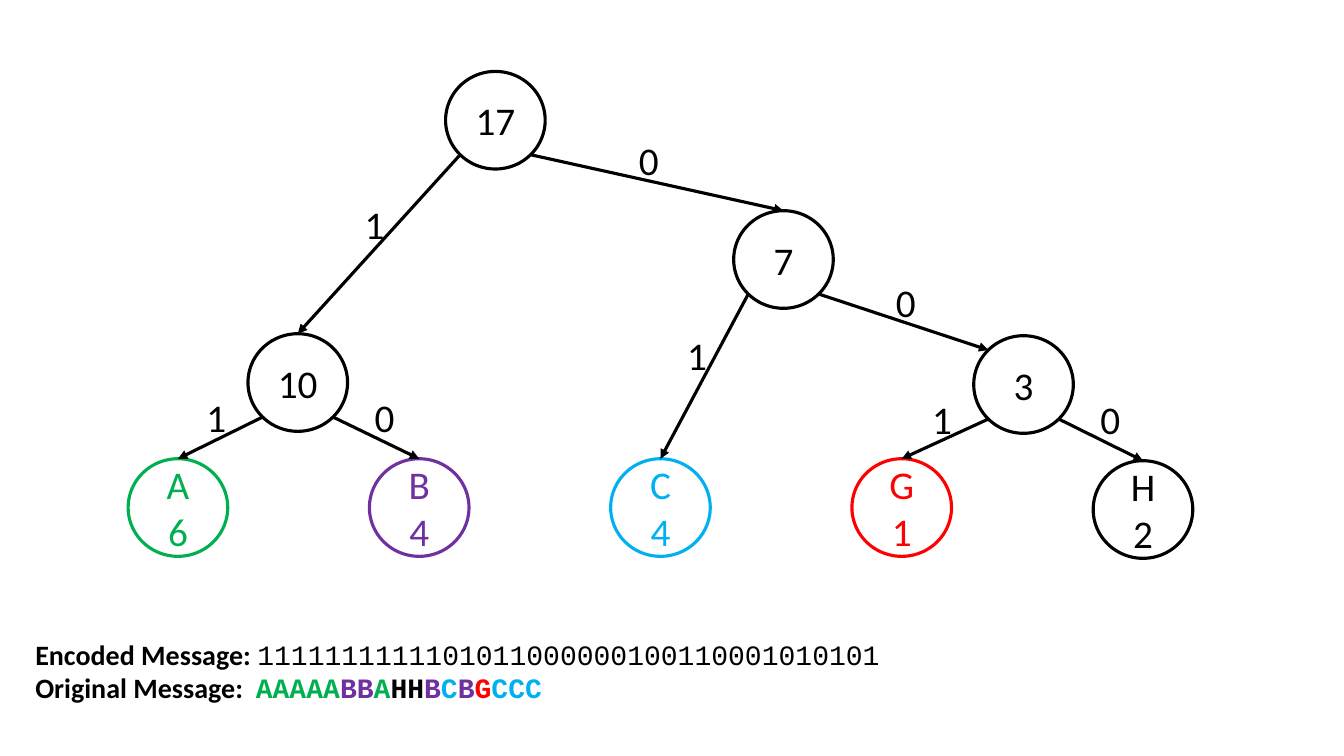
from math import sqrt

from lxml import etree
from pptx import Presentation
from pptx.dml.color import RGBColor
from pptx.enum import shapes, text
from pptx.oxml.ns import qn
from pptx.util import Cm, Pt

COLORS = {"black": "000000", "green": "00B050", "purple": "7030A0",
          "blue": "00B0F0", "red": "FF0000"}
LETTER_COLORS = {"A": "green", "B": "purple", "C": "blue", "G": "red", "H": "black"}
NODE_W, NODE_H = 2.51, 2.46
LABEL_W, LABEL_H = 0.89, 1.45
DIAGONAL = (1 - 1 / sqrt(2)) / 2  # inset of an ellipse's diagonal points
LEAF_STEP = 6.08

# Name: (left, top, lines of text), in cm from the corner of the tree
NODES = {
    "root": (8, 0, ["17"]),
    "AB": (3.02, 6.61, ["10"]),
    "CGH": (15.26, 3.51, ["7"]),
    "GH": (21.31, 6.66, ["3"]),
}
for i, (letter, count, top) in enumerate([("A", 6, 9.76), ("B", 4, 9.76), ("C", 4, 9.76),
                                          ("G", 1, 9.76), ("H", 2, 9.81)]):
    NODES[letter] = (i * LEAF_STEP, top, [letter, str(count)])

# Parent, child, bit, label offset from the parent's corner
EDGES = [
    ("root", "AB", "1", (-2.29, 3.13)),
    ("root", "CGH", "0", (4.62, 1.5)),
    ("CGH", "C", "1", (-1.42, 2.92)),
    ("CGH", "GH", "0", (3.84, 1.57)),
    ("AB", "A", "1", (-1.3, 1.37)),
    ("AB", "B", "0", (2.94, 1.37)),
    ("GH", "G", "1", (-1.3, 1.37)),
    ("GH", "H", "0", (2.94, 1.37)),
]


def rgb(color):
    return RGBColor.from_string(COLORS[color])


def add_run(p, words, color="black", **formats):
    r = p.add_run()
    r.text = words
    for name, value in {"name": "Calibri", "size": Pt(28), **formats}.items():
        setattr(r.font, name, value)
    r.font.color.rgb = rgb(color)


def add_text_box(slide, left, top, width, height):
    sp = slide.shapes.add_textbox(Cm(left), Cm(top), Cm(width), Cm(height))
    tf = sp.text_frame
    tf.word_wrap = True
    tf.auto_size = text.MSO_AUTO_SIZE.SHAPE_TO_FIT_TEXT
    return tf


def add_node(slide, left, top, lines):
    color = LETTER_COLORS.get(lines[0], "black")
    sp = slide.shapes.add_shape(shapes.MSO_SHAPE.OVAL, Cm(left), Cm(top),
                                Cm(NODE_W), Cm(NODE_H))
    sp.shadow.inherit = False
    sp.fill.background()
    sp.line.color.rgb = rgb(color)
    sp.line.width = Pt(2.25)
    tf = sp.text_frame
    tf.vertical_anchor = text.MSO_ANCHOR.MIDDLE
    for i, line in enumerate(lines):
        p = tf.add_paragraph() if i else tf.paragraphs[0]
        p.alignment = text.PP_ALIGN.CENTER
        add_run(p, line, color)
    return sp


def add_edge(slide, parent, child, bit):
    """Arrow from the parent's lower left (1) or lower right (0) to the child."""
    side = DIAGONAL if bit == "1" else 1 - DIAGONAL
    start = (parent.left + int(parent.width * side),
             parent.top + int(parent.height * (1 - DIAGONAL)))
    end = (child.left + int(child.width * DIAGONAL),
           child.top + int(child.height * DIAGONAL))
    line = slide.shapes.add_connector(shapes.MSO_CONNECTOR.STRAIGHT, *start, *end)
    if child.text_frame.text != "3":  # that node is entered at its upper left
        line.end_connect(child, 0)
    line.line.color.rgb = rgb("black")
    line.line.width = Pt(2.25)
    etree.SubElement(line.line._get_or_add_ln(), qn("a:tailEnd"), type="triangle")
    etree.SubElement(line._element.spPr, qn("a:effectLst"))


def add_tree(slide, left, top):
    nodes = {name: add_node(slide, left + x, top + y, lines)
             for name, (x, y, lines) in NODES.items()}
    for parent, child, bit, (dx, dy) in EDGES:
        add_edge(slide, nodes[parent], nodes[child], bit)
        x, y, _ = NODES[parent]
        tf = add_text_box(slide, left + x + dx, top + y + dy, LABEL_W, LABEL_H)
        p = tf.paragraphs[0]
        p.alignment = text.PP_ALIGN.CENTER if bit == "1" else text.PP_ALIGN.LEFT
        add_run(p, bit)


def add_messages(slide, left, top, width, height):
    tf = add_text_box(slide, left, top, width, height)
    heading = {"size": Pt(20), "bold": True}
    code = {"size": Pt(20), "name": "Courier New"}
    p = tf.paragraphs[0]
    add_run(p, "Encoded Message: ", **heading)
    add_run(p, "1111111111101011000000100110001010101", bold=False, **code)
    p = tf.add_paragraph()
    add_run(p, "Original Message:  ", **heading)
    for letters in ["AAAAA", "BB", "A", "HH", "B", "C", "B", "G", "CCC"]:
        add_run(p, letters, LETTER_COLORS[letters[0]], bold=True, **code)


def main():
    prs = Presentation()
    prs.slide_width, prs.slide_height = Cm(33.87), Cm(19.05)
    slide = prs.slides.add_slide(prs.slide_layouts[6])
    add_tree(slide, 3.23, 1.8)
    add_messages(slide, 0.64, 15.93, 33.22, 1.96)
    prs.save("out.pptx")


if __name__ == "__main__":
    main()
